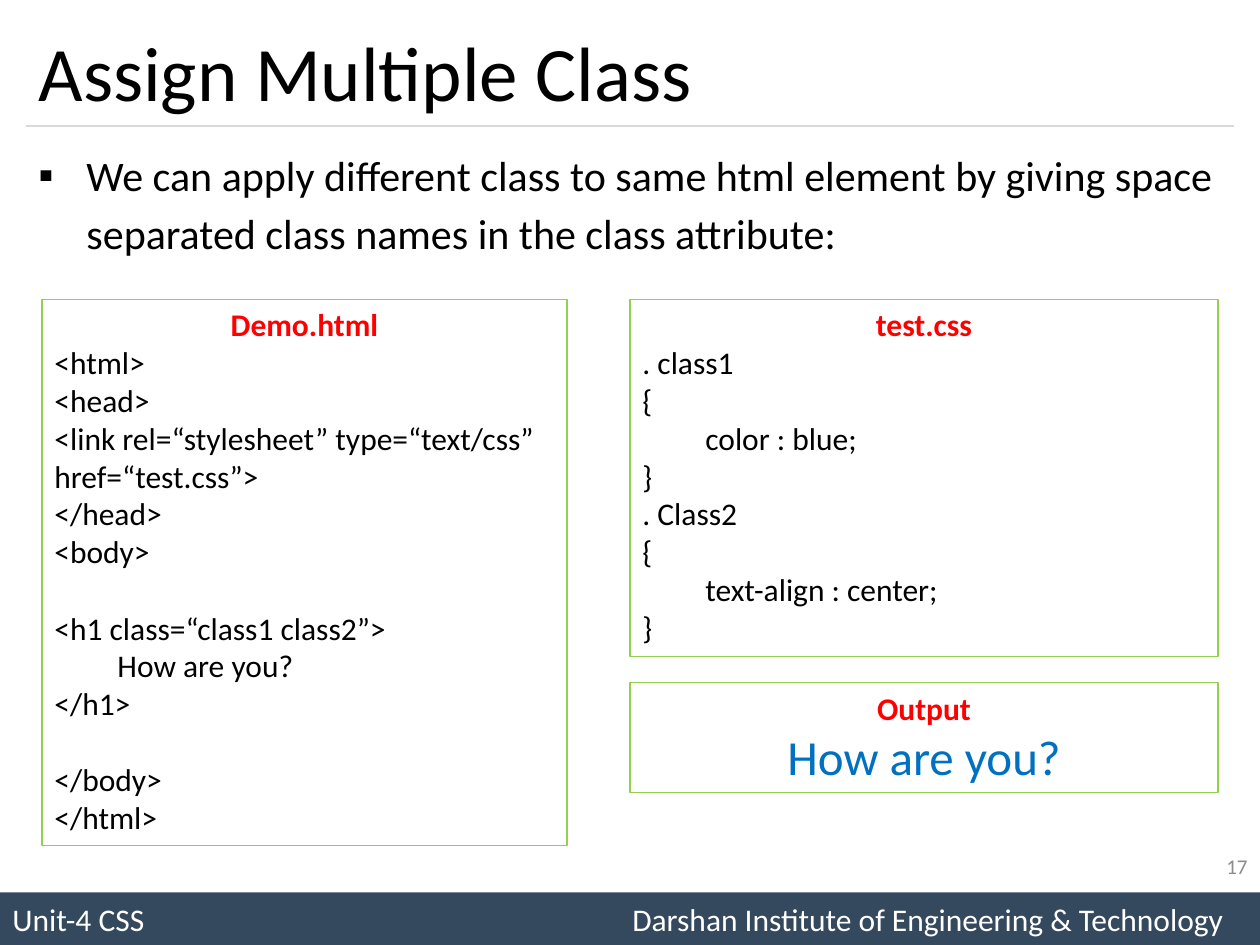
from dataclasses import dataclass

from lxml.etree import SubElement
from pptx import Presentation
from pptx.dml.color import RGBColor
from pptx.enum.shapes import MSO_CONNECTOR, MSO_SHAPE
from pptx.enum.text import MSO_ANCHOR, MSO_AUTO_SIZE, PP_ALIGN
from pptx.oxml.ns import qn
from pptx.util import Inches, Pt

COLS, ROWS = 240, 180


@dataclass(frozen=True)
class Theme:
    font: str = "Calibri"
    ink: str = "000000"
    paper: str = "FFFFFF"
    bar: str = "34495E"
    rule: str = "D9D9D9"
    frame: str = "92D050"
    heading: str = "FF0000"
    result: str = "0070C0"
    muted: str = "8C8C8C"
    title_size: int = 44
    output_size: int = 28
    body_size: int = 24
    code_size: int = 18
    number_size: int = 12
    thin: float = 0.75
    code_gap: int = 22


def write(p, text, *, font, size, color, bold=False, align=PP_ALIGN.LEFT,
          before=0, spacing=None, bullet=None, hang=0, tab=None):
    """Fill one paragraph with formatted text."""
    p.alignment = align
    p.space_before = Pt(before)
    if spacing:
        p.line_spacing = spacing
    pPr = p._p.get_or_add_pPr()
    if bullet:
        pPr.set("marL", str(Inches(hang)))
        pPr.set("indent", str(-Inches(hang)))
        SubElement(pPr, qn("a:buFont"), typeface=font)
        SubElement(pPr, qn("a:buChar"), char=bullet)
    if tab:
        tabs = SubElement(pPr, qn("a:tabLst"))
        SubElement(tabs, qn("a:tab"), pos=str(Inches(tab)), algn="l")
    r = p.add_run()
    r.text = text
    r.font.name, r.font.size, r.font.bold = font, Pt(size), bold
    r.font.color.rgb = RGBColor.from_string(color)


class SlideBuilder:
    def __init__(self, prs, theme):
        self.theme = theme
        self.slide = prs.slides.add_slide(prs.slide_layouts[6])
        self.col = prs.slide_width / COLS
        self.row = prs.slide_height / ROWS

    def place(self, x, y, w, h):
        return (round(x * self.col), round(y * self.row),
                round(w * self.col), round(h * self.row))

    def text(self, area, text, anchor=MSO_ANCHOR.MIDDLE, **fmt):
        tf = self.slide.shapes.add_textbox(*self.place(*area)).text_frame
        tf.word_wrap = True
        tf.vertical_anchor = anchor
        write(tf.paragraphs[0], text, font=self.theme.font, **fmt)

    def rect(self, area, fill=None, line=None):
        sp = self.slide.shapes.add_shape(MSO_SHAPE.RECTANGLE, *self.place(*area))
        sp.shadow.inherit = False
        if fill:
            sp.fill.solid()
            sp.fill.fore_color.rgb = RGBColor.from_string(fill)
        else:
            sp.fill.background()
        if line:
            sp.line.color.rgb = RGBColor.from_string(line)
            sp.line.width = Pt(self.theme.thin)
        else:
            sp.line.fill.background()
        sp.text_frame.word_wrap = True
        return sp

    def rule(self, x, y, w):
        left, top, width, _ = self.place(x, y, w, 0)
        line = self.slide.shapes.add_connector(
            MSO_CONNECTOR.STRAIGHT, left, top, left + width, top)
        line.line.color.rgb = RGBColor.from_string(self.theme.rule)
        line.line.width = Pt(self.theme.thin)
        SubElement(line._element.spPr, qn("a:effectLst"))

    def footer(self, area, text, tab):
        t = self.theme
        tf = self.rect(area, fill=t.bar).text_frame
        tf.vertical_anchor = MSO_ANCHOR.MIDDLE
        write(tf.paragraphs[0], text, font=t.font, size=t.code_size,
              color=t.paper, tab=tab)

    def panel(self, area, heading, lines, gaps=(), **fmt):
        """Framed box: red heading, then lines; those in gaps get space above."""
        t = self.theme
        tf = self.rect(area, line=t.frame).text_frame
        tf.vertical_anchor = MSO_ANCHOR.TOP
        tf.auto_size = MSO_AUTO_SIZE.SHAPE_TO_FIT_TEXT
        write(tf.paragraphs[0], heading, font=t.font, size=t.code_size,
              color=t.heading, bold=True, align=PP_ALIGN.CENTER)
        style = {"size": t.code_size, "color": t.ink, **fmt}
        for line in lines:
            write(tf.add_paragraph(), line, font=t.font,
                  before=t.code_gap if line in gaps else 0, **style)


HTML = [
    "<html>",
    "<head>",
    "<link rel=“stylesheet” type=“text/css” href=“test.css”>",
    "</head>",
    "<body>",
    "<h1 class=“class1 class2”>",
    "\tHow are you?",
    "</h1>",
    "</body>",
    "</html>",
]
CSS = [". class1", "{", "\tcolor : blue;", "}",
       ". Class2", "{", "\ttext-align : center;", "}"]


def main():
    prs = Presentation()
    prs.slide_width, prs.slide_height = Inches(10), Inches(7.5)
    t = Theme()
    s = SlideBuilder(prs, t)

    # Footer bar and title rule
    s.footer((0, 170, 240, 10),
             "Unit-4 CSS\tDarshan Institute of Engineering & Technology", tab=4.92)
    s.rule(5, 24, 230)

    # Title and introduction
    s.text((5, 3, 230, 21), "Assign Multiple Class",
           size=t.title_size, color=t.ink)
    s.text((5, 26, 230, 28),
           "We can apply different class to same html element by giving space "
           "separated class names in the class attribute:",
           anchor=MSO_ANCHOR.TOP, size=t.body_size, color=t.ink,
           spacing=1.14, bullet="▪", hang=0.38)

    # Code panels and their output
    s.panel((8, 57, 100, 104), "Demo.html", HTML,
            gaps=("<h1 class=“class1 class2”>", "</body>"))
    s.panel((120, 57, 112, 68), "test.css", CSS)
    s.panel((120, 130, 112, 21), "Output", ["How are you?"],
            size=t.output_size, color=t.result, align=PP_ALIGN.CENTER)

    # Slide number
    s.text((184, 160, 56, 10), "17", size=t.number_size, color=t.muted,
           align=PP_ALIGN.RIGHT)

    prs.save("out.pptx")


if __name__ == "__main__":
    main()
